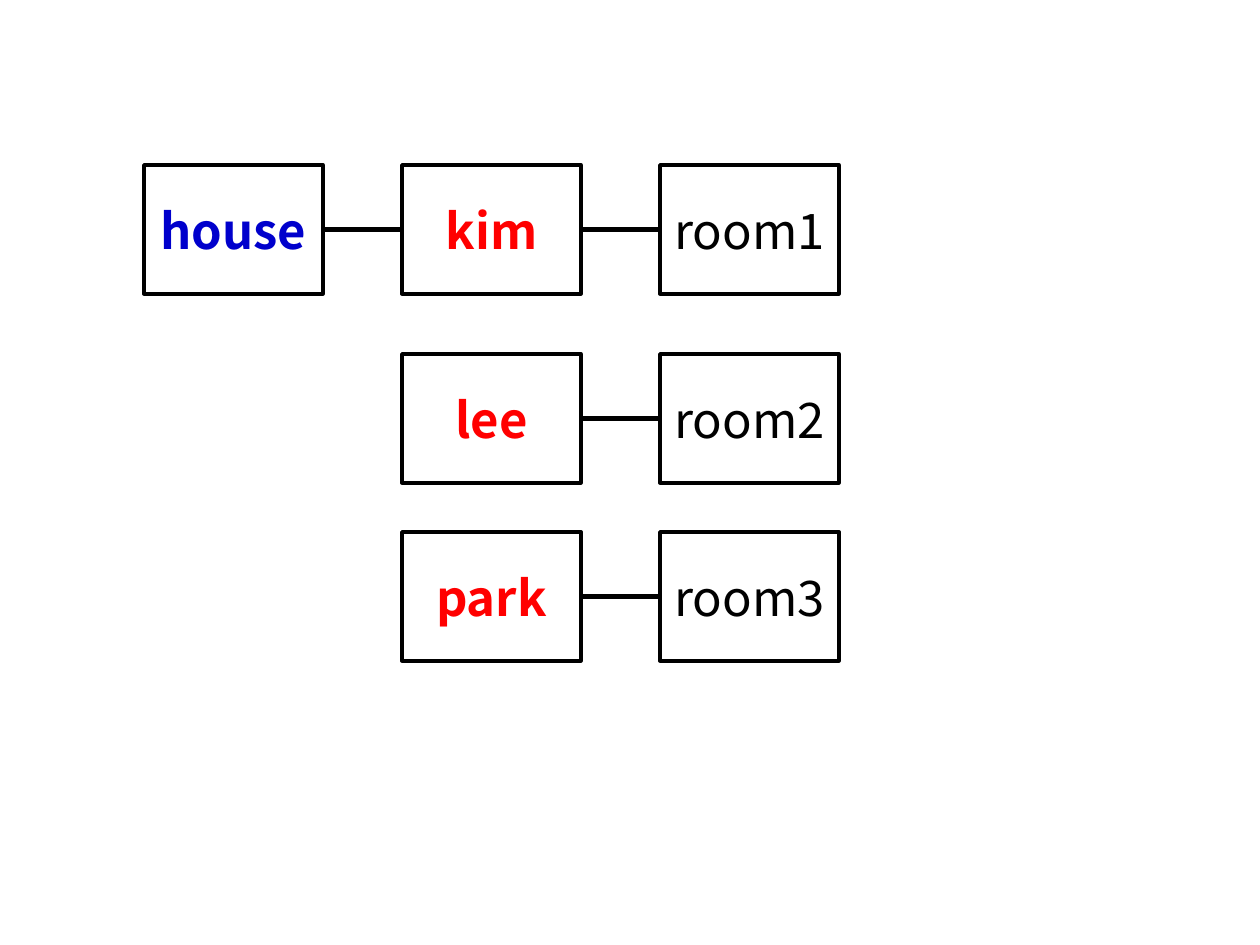
from dataclasses import dataclass

from lxml.etree import SubElement
from pptx import Presentation
from pptx.dml.color import RGBColor
from pptx.enum.shapes import MSO_CONNECTOR, MSO_SHAPE
from pptx.enum.text import MSO_ANCHOR, PP_ALIGN
from pptx.oxml.ns import qn
from pptx.shapes.autoshape import Shape
from pptx.slide import Slide
from pptx.util import Emu, Inches, Pt

FONT = "Noto Sans CJK KR"
BLACK = RGBColor(0x00, 0x00, 0x00)
BLUE = RGBColor(0x00, 0x00, 0xCC)
RED = RGBColor(0xFF, 0x00, 0x00)

PX_PER_INCH = 126
COLUMNS = (144, 402, 660)
ROWS = (165, 354, 532)
BOX_W, BOX_H = 179, 129
RIGHT, LEFT = 3, 1


@dataclass(frozen=True)
class Node:
    text: str
    column: int
    row: int
    color: RGBColor = BLACK
    bold: bool = False


HOUSE = Node("house", 0, 0, BLUE, True)
PEOPLE = [Node(name, 1, row, RED, True) for row, name in enumerate(("kim", "lee", "park"))]
ROOMS = [Node(f"room{row + 1}", 2, row) for row in range(len(ROWS))]
LINKS = [(HOUSE, PEOPLE[0]), *zip(PEOPLE, ROOMS)]


def px(n: int) -> Emu:
    return Emu(round(n * Inches(1) / PX_PER_INCH))


def add_node(slide: Slide, node: Node) -> Shape:
    sp = slide.shapes.add_shape(
        MSO_SHAPE.RECTANGLE, px(COLUMNS[node.column]), px(ROWS[node.row]), px(BOX_W), px(BOX_H)
    )
    sp.shadow.inherit = False
    sp.fill.background()
    sp.line.color.rgb = BLACK
    sp.line.width = Pt(2)
    tf = sp.text_frame
    tf.word_wrap = True
    tf.vertical_anchor = MSO_ANCHOR.MIDDLE
    p = tf.paragraphs[0]
    p.text = node.text
    p.alignment = PP_ALIGN.CENTER
    p.font.name = FONT
    p.font.size = Pt(28)
    p.font.bold = node.bold
    p.font.color.rgb = node.color
    return sp


def link(slide: Slide, start: Shape, end: Shape) -> None:
    line = slide.shapes.add_connector(MSO_CONNECTOR.STRAIGHT, 0, 0, 0, 0)
    line.begin_connect(start, RIGHT)
    line.end_connect(end, LEFT)
    line.line.color.rgb = BLACK
    line.line.width = Pt(3)
    SubElement(line._element.spPr, qn("a:effectLst"))


def main() -> None:
    prs = Presentation()
    prs.slide_width, prs.slide_height = Inches(10), Inches(7.5)
    slide = prs.slides.add_slide(prs.slide_layouts[6])
    boxes = {node: add_node(slide, node) for node in (HOUSE, *PEOPLE, *ROOMS)}
    for start, end in LINKS:
        link(slide, boxes[start], boxes[end])
    prs.save("out.pptx")


if __name__ == "__main__":
    main()
